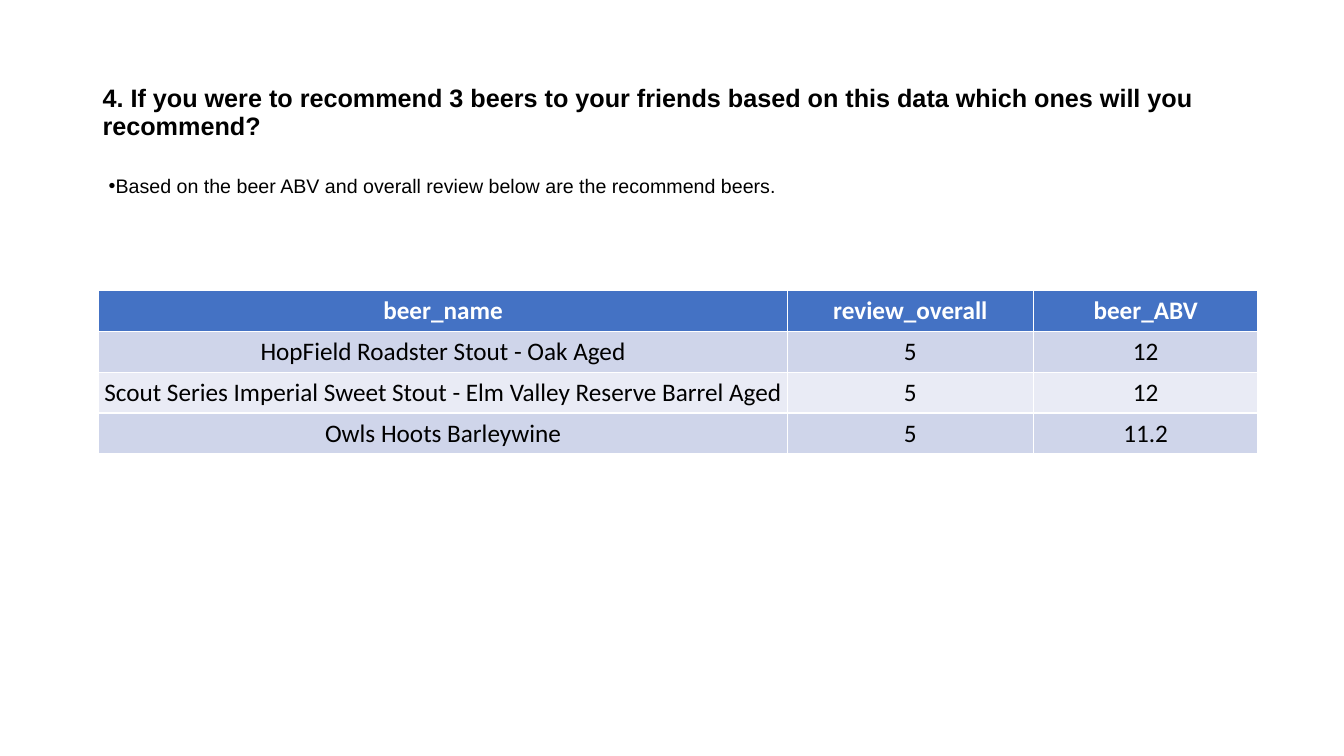
from dataclasses import dataclass

from pptx import Presentation
from pptx.dml.color import RGBColor
from pptx.enum.text import MSO_ANCHOR as Anchor, MSO_AUTO_SIZE as Fit, PP_ALIGN as Align
from pptx.oxml.xmlchemy import OxmlElement as Node
from pptx.slide import Slide
from pptx.text.text import _Paragraph as Para
from pptx.util import Pt

BLACK, WHITE, BLUE = "000000", "FFFFFF", "4472C4"
BANDS = ("CFD5EA", "E9EBF5")
WIDTHS = (491.8, 175.7, 160.5)
HIGH = 29.2
ROWS = (
    ("beer_name", "review_overall", "beer_ABV"),
    ("HopField Roadster Stout - Oak Aged", "5", "12"),
    ("Scout Series Imperial Sweet Stout - Elm Valley Reserve Barrel Aged", "5", "12"),
    ("Owls Hoots Barleywine", "5", "11.2"),
)


@dataclass
class Style:
    face: str
    size: float
    bold: bool = False
    color: str = BLACK


@dataclass
class Label:
    text: str
    left: float
    top: float
    width: float
    height: float
    style: Style
    frame: dict
    para: dict
    bullet: bool = False


LABELS = (
    Label(
        "4. If you were to recommend 3 beers to your friends based on this data "
        "which ones will you recommend?",
        66.2, 28.8, 828, 104.4, Style("Arial", 18, True),
        {"vertical_anchor": Anchor.MIDDLE}, {"line_spacing": 0.9},
    ),
    Label(
        "Based on the beer ABV and overall review below are the recommend beers.",
        70.6, 121, 772.6, 24.5, Style("Arial", 14),
        {"auto_size": Fit.SHAPE_TO_FIT_TEXT}, {}, True,
    ),
)


def paint(target, color: str) -> None:
    target.rgb = RGBColor.from_string(color)


def apply(target, values: dict) -> None:
    for name, value in values.items():
        setattr(target, name, value)


def write(para: Para, text: str, style: Style) -> None:
    run = para.add_run()
    run.text = text
    apply(run.font, {"name": style.face, "size": Pt(style.size), "bold": style.bold})
    paint(run.font.color, style.color)


def mark(para: Para) -> None:
    props = para._p.get_or_add_pPr()
    props.set("marL", "0")
    props.set("indent", str(-Pt(22.5)))
    font, dot = Node("a:buFont"), Node("a:buChar")
    font.set("typeface", "Arial")
    dot.set("char", "•")
    props.extend((font, dot))


def draw_label(slide: Slide, label: Label) -> None:
    box = slide.shapes.add_textbox(
        Pt(label.left), Pt(label.top), Pt(label.width), Pt(label.height)
    )
    frame = box.text_frame
    apply(frame, {"word_wrap": True, **label.frame})
    para = frame.paragraphs[0]
    apply(para, label.para)
    if label.bullet:
        mark(para)
    write(para, label.text, label.style)


def draw_table(slide: Slide, left: float, top: float) -> None:
    table = slide.shapes.add_table(
        len(ROWS), len(WIDTHS), Pt(left), Pt(top), Pt(sum(WIDTHS)), Pt(HIGH * len(ROWS))
    ).table
    for column, width in zip(table.columns, WIDTHS):
        column.width = Pt(width)
    layout = {
        "vertical_anchor": Anchor.MIDDLE,
        "margin_left": Pt(0.7),
        "margin_top": Pt(0.7),
        "margin_right": Pt(0.7),
        "margin_bottom": Pt(0),
    }
    for index, (row, texts) in enumerate(zip(table.rows, ROWS)):
        row.height = Pt(HIGH)
        head = index == 0
        style = Style("Calibri", 18, head, WHITE if head else BLACK)
        fill = BLUE if head else BANDS[(index - 1) % 2]
        for cell, text in zip(row.cells, texts):
            apply(cell, layout)
            cell.fill.solid()
            paint(cell.fill.fore_color, fill)
            para = cell.text_frame.paragraphs[0]
            para.alignment = Align.CENTER
            write(para, text, style)


def main() -> None:
    deck = Presentation()
    apply(deck, {"slide_width": Pt(960), "slide_height": Pt(540)})
    slide = deck.slides.add_slide(deck.slide_layouts[6])
    draw_table(slide, 70.6, 207.4)
    for label in LABELS:
        draw_label(slide, label)
    deck.save("out.pptx")


if __name__ == "__main__":
    main()
